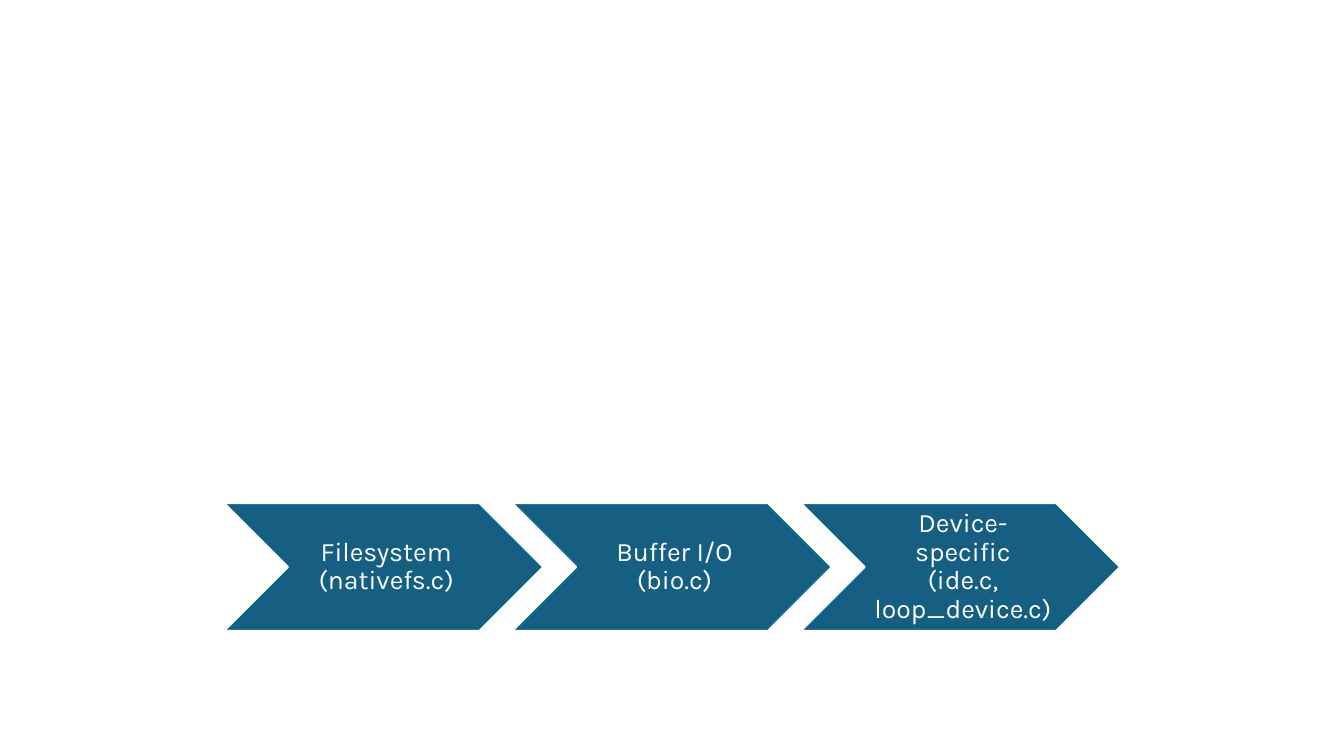
from pptx import Presentation
from pptx.dml.color import RGBColor
from pptx.enum.shapes import MSO_SHAPE
from pptx.enum.text import MSO_ANCHOR, PP_ALIGN
from pptx.util import Inches, Pt

COLORS = {"layer": "156082", "white": "FFFFFF"}
FONT = "Karla"

# Chevron row, in inches
ROW_LEFT, ROW_TOP = 2.22, 4.99
CHEVRON_WIDTH, CHEVRON_HEIGHT = 3.17, 1.27
COLUMN_STEP = 2.86

LAYERS = [
    "Filesystem\n(nativefs.c)",
    "Buffer I/O\n(bio.c)",
    "Device-specific\n(ide.c, loop_device.c)",
]


def color(name):
    return RGBColor.from_string(COLORS[name])


def add_layer(slide, column, label):
    """Add one labelled chevron in the given column of the row."""
    chevron = slide.shapes.add_shape(
        MSO_SHAPE.CHEVRON,
        Inches(ROW_LEFT + column * COLUMN_STEP), Inches(ROW_TOP),
        Inches(CHEVRON_WIDTH), Inches(CHEVRON_HEIGHT))
    chevron.shadow.inherit = False
    chevron.fill.solid()
    chevron.fill.fore_color.rgb = color("layer")
    chevron.line.color.rgb = color("white")
    chevron.line.width = Pt(1.5)

    # Label, held between the notch and the tip
    frame = chevron.text_frame
    frame.word_wrap = True
    frame.vertical_anchor = MSO_ANCHOR.MIDDLE
    frame.margin_left = Inches(0.08)
    frame.margin_top = frame.margin_right = frame.margin_bottom = Inches(0.03)
    para = frame.paragraphs[0]
    para.text = label
    para.alignment = PP_ALIGN.CENTER
    para.line_spacing = 0.9
    for span in para.runs:
        span.font.name = FONT
        span.font.size = Pt(19)
        span.font.color.rgb = color("white")


def main():
    deck = Presentation()
    deck.slide_width, deck.slide_height = Inches(13.33), Inches(7.5)
    slide = deck.slides.add_slide(deck.slide_layouts.get_by_name("Blank"))
    for column, label in enumerate(LAYERS):
        add_layer(slide, column, label)
    deck.save("out.pptx")


if __name__ == "__main__":
    main()
